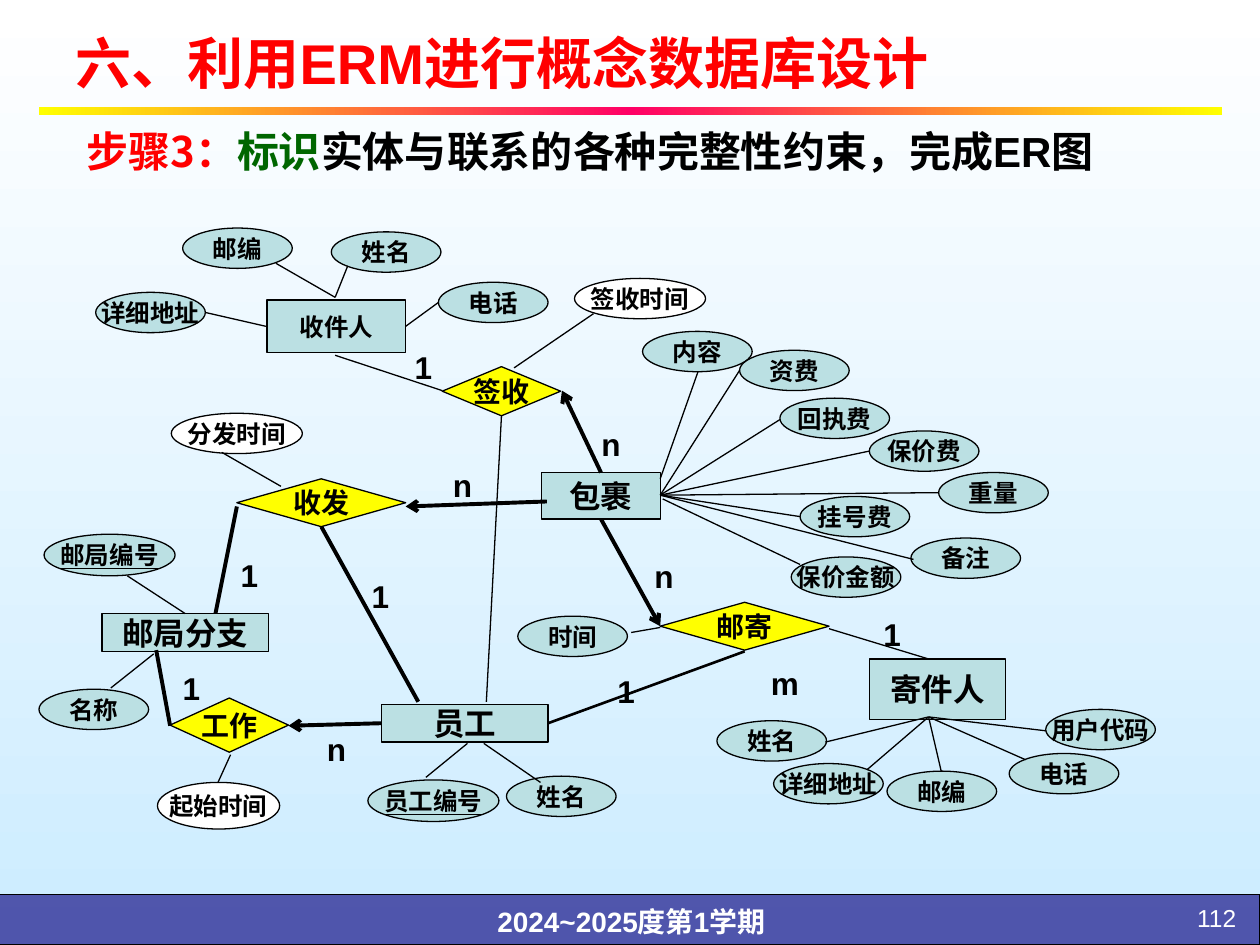
from copy import deepcopy

from lxml.etree import SubElement
from pptx import Presentation
from pptx.dml.color import RGBColor
from pptx.enum.shapes import MSO_CONNECTOR, MSO_SHAPE
from pptx.enum.text import MSO_ANCHOR, PP_ALIGN
from pptx.oxml.ns import qn
from pptx.util import Cm, Pt

COLORS = {
    "black": "000000", "white": "FFFFFF", "sky": "CCECFF", "teal": "BBE0E3",
    "yellow": "FFFF00", "red": "FF0000", "green": "006600", "pink": "FF0066",
    "navy": "333399",
}

ENTITIES = [
    ("收件人", 2.12, 2.38, 1.1, 0.42, 14),
    ("寄件人", 6.9, 5.23, 1.08, 0.48, 18),
    ("包裹", 4.3, 3.75, 0.94, 0.37, 18),
    ("邮局分支", 0.81, 4.87, 1.32, 0.3, 18),
    ("员工", 3.03, 5.59, 1.32, 0.3, 18),
]
ATTRIBUTES = [
    ("邮编", 1.45, 1.81), ("详细地址", 0.76, 2.32), ("姓名", 2.63, 1.84), ("电话", 3.48, 2.24),
    ("详细地址", 6.14, 6.06), ("姓名", 5.69, 5.72), ("电话", 8.01, 5.98),
    ("用户代码", 8.3, 5.63), ("邮编", 7.04, 6.12),
    ("内容", 5.1, 2.63), ("保价金额", 6.28, 4.42), ("备注", 7.23, 4.27), ("重量", 7.45, 3.75),
    ("挂号费", 6.35, 3.94), ("保价费", 6.9, 3.42), ("回执费", 6.19, 3.16), ("资费", 5.87, 2.78),
    ("名称", 0.31, 5.47), ("姓名", 4.02, 6.16), ("时间", 4.11, 4.89),
]
KEY_ATTRIBUTES = [("邮局编号", 0.35, 4.24), ("员工编号", 2.92, 6.19)]
RELATION_ATTRIBUTES = [
    ("签收时间", 4.56, 2.21, 1.04, 0.32),
    ("分发时间", 1.36, 3.28, 1.04, 0.32),
    ("起始时间", 1.25, 6.21, 0.97, 0.37),
]
RELATIONS = [
    ("签收", 3.51, 2.91, 0.94, 0.39),
    ("邮寄", 5.24, 4.78, 1.34, 0.38),
    ("工作", 1.35, 5.54, 0.94, 0.43),
    ("收发", 1.88, 3.8, 1.34, 0.38),
]
FANS = {
    (2.66, 2.36): [(2.19, 2.09), (2.76, 2.11)],
    (7.37, 5.69): [(6.55, 5.89), (6.88, 6.11), (7.47, 6.12), (8.14, 6.03), (8.3, 5.8)],
    (5.24, 3.93): [(7.25, 4.44), (7.45, 3.91), (6.35, 4.1), (6.9, 3.58), (6.19, 3.33), (5.87, 2.94)],
}
THIN_LINES = [
    ((1.63, 2.48), (2.11, 2.59)), ((3.22, 2.59), (3.48, 2.4)),
    ((5.24, 3.8), (5.54, 2.95)), ((5.26, 3.96), (6.35, 4.48)),
    ((2.66, 2.82), (3.51, 3.1)), ((6.58, 4.99), (7.37, 5.23)),
    ((4.08, 2.92), (4.71, 2.49)), ((1.01, 4.57), (1.47, 4.87)),
    ((1.22, 5.19), (0.88, 5.46)), ((3.84, 5.9), (4.29, 6.21)),
    ((3.71, 5.9), (3.38, 6.17)), ((3.98, 3.3), (3.86, 5.57)),
    ((1.83, 5.99), (1.73, 6.21)), ((5.01, 5.02), (5.24, 4.98)),
    ((1.76, 3.59), (2.23, 3.86)),
]
THICK_LINES = [
    ((1.24, 5.16), (1.35, 5.76)), ((1.88, 4.02), (1.71, 4.87)), ((2.55, 4.18), (3.32, 5.57)),
]
ARROWS = [
    ((4.77, 3.75), (4.46, 3.1)), ((4.77, 4.12), (5.24, 4.97)),
    ((3.03, 5.74), (2.29, 5.76)), ((4.34, 3.98), (3.22, 4.02)),
]
CARDINALITY_CENTERS = {
    "1": [(3.36, 2.86), (7.08, 4.98), (1.52, 5.41), (1.98, 4.51), (4.97, 5.43), (3.02, 4.68)],
    "n": [(4.85, 3.47), (5.27, 4.52), (2.67, 5.89), (3.67, 3.8)],
    "m": [(6.22, 5.37)],
}


def length(inches):
    """Turn a measure on the slide grid into a length."""
    return Cm(inches * 2.54)


def color(name):
    """Look up a named colour."""
    return RGBColor.from_string(COLORS[name])


def write(paragraph, text, size=14, name="black", bold=True, underline=None, font="Arial"):
    """Add formatted text to a paragraph."""
    run = paragraph.add_run()
    run.text = text
    run.font.size = Pt(size)
    run.font.name = font
    run.font.bold = bold
    run.font.underline = underline
    run.font.color.rgb = color(name)


def add_label(slide, box, text="", align=PP_ALIGN.LEFT, anchor=MSO_ANCHOR.TOP,
              wrap=True, spacing=None, **style):
    """Add a text box and return its paragraph."""
    frame = slide.shapes.add_textbox(*map(length, box)).text_frame
    frame.word_wrap = wrap
    frame.vertical_anchor = anchor
    paragraph = frame.paragraphs[0]
    paragraph.alignment = align
    paragraph.line_spacing = spacing
    if text:
        write(paragraph, text, **style)
    return paragraph


def add_node(slide, kind, box, fill, text="", **style):
    """Add an outlined shape with centred text."""
    shape = slide.shapes.add_shape(kind, *map(length, box))
    shape.shadow.inherit = False
    shape.fill.solid()
    shape.fill.fore_color.rgb = color(fill)
    shape.line.color.rgb = color("black")
    shape.line.width = Pt(0.75)
    if text:
        frame = shape.text_frame
        frame.word_wrap = False
        frame.vertical_anchor = MSO_ANCHOR.MIDDLE
        frame.paragraphs[0].alignment = PP_ALIGN.CENTER
        write(frame.paragraphs[0], text, **style)
    return shape


def add_line(slide, start, end, width=0.75, arrow=False):
    """Add a straight line, with an arrowhead at its end if asked."""
    line = slide.shapes.add_connector(MSO_CONNECTOR.STRAIGHT, *map(length, start + end))
    line.line.color.rgb = color("black")
    line.line.width = Pt(width)
    if arrow:
        SubElement(line.line._get_or_add_ln(), qn("a:tailEnd"), type="arrow")
    SubElement(line._element.spPr, qn("a:effectLst"))


def set_gradient(fill, names, angle):
    """Fill with evenly spaced gradient stops."""
    fill.gradient()
    fill.gradient_angle = angle
    stop_list = fill.gradient_stops[0]._gs.getparent()
    for _ in names[2:]:
        stop_list.append(deepcopy(stop_list[-1]))
    for index, (stop, name) in enumerate(zip(fill.gradient_stops, names)):
        stop.color.rgb = color(name)
        stop.position = index / (len(names) - 1)


def add_frame(slide):
    """Add the background, footer, title and step heading."""
    set_gradient(slide.background.fill, ["white", "sky"], 270)
    footer = add_node(slide, MSO_SHAPE.RECTANGLE, (-0.01, 7.1, 10.01, 0.4), "navy")
    footer_color = footer._element.spPr.find(qn("a:solidFill"))[0]
    SubElement(footer_color, qn("a:alpha"), val="81000")
    add_label(slide, (2.69, 7.08, 4.64, 0.42), "2024~2025度第1学期",
              align=PP_ALIGN.CENTER, spacing=1.2, size=16, name="white")
    add_label(slide, (8.94, 7.12, 0.97, 0.3), "112",
              align=PP_ALIGN.RIGHT, name="white", bold=False)
    rule = add_node(slide, MSO_SHAPE.RECTANGLE, (0.31, 0.85, 9.39, 0.06), "yellow")
    rule.line.fill.background()
    set_gradient(rule.fill, ["yellow", "pink", "yellow"], 0)
    add_label(slide, (0.5, 0.11, 9, 0.76), "六、利用ERM进行概念数据库设计",
              anchor=MSO_ANCHOR.MIDDLE, size=32, name="red")
    heading = add_label(slide, (0.51, 0.95, 8.68, 0.54))
    write(heading, " 步骤3：", size=24, name="red", font="Noto Sans CJK SC")
    write(heading, "标识", size=24, name="green", font="Noto Sans CJK SC")
    write(heading, "实体与联系的各种完整性约束，完成ER图", size=24)


def add_nodes(slide):
    """Add entities, attributes and relations."""
    for text, *box, size in ENTITIES:
        add_node(slide, MSO_SHAPE.RECTANGLE, box, "teal", text, size=size)
    for text, left, top in ATTRIBUTES:
        add_node(slide, MSO_SHAPE.OVAL, (left, top, 0.87, 0.32), "teal", text)
    for text, left, top in KEY_ATTRIBUTES:
        add_node(slide, MSO_SHAPE.OVAL, (left, top, 1.04, 0.33), "teal", text, underline=True)
    for text, *box in RELATION_ATTRIBUTES:
        add_node(slide, MSO_SHAPE.OVAL, box, "white", text)
    for text, *box in RELATIONS:
        add_node(slide, MSO_SHAPE.DIAMOND, box, "yellow", text, size=16)


def add_links(slide):
    """Add the lines, arrows and cardinalities."""
    for hub, ends in FANS.items():
        for end in ends:
            add_line(slide, hub, end)
    for start, end in THIN_LINES:
        add_line(slide, start, end)
    for start, end in THICK_LINES:
        add_line(slide, start, end, width=2.25)
    for start, end in ARROWS:
        add_line(slide, start, end, width=2.25, arrow=True)
    add_line(slide, (5.91, 5.17), (4.35, 5.74), width=1.5)
    for text, centers in CARDINALITY_CENTERS.items():
        for x, y in centers:
            add_label(slide, (x - 0.2, y - 0.25, 0.4, 0.5), text, align=PP_ALIGN.CENTER,
                      anchor=MSO_ANCHOR.MIDDLE, wrap=False, spacing=1.35, size=18)


def main():
    """Build and save the slide."""
    presentation = Presentation()
    presentation.slide_width = Cm(25.4)
    presentation.slide_height = Cm(19.05)
    slide = presentation.slides.add_slide(presentation.slide_layouts[6])
    add_frame(slide)
    add_nodes(slide)
    add_links(slide)
    presentation.save("out.pptx")


if __name__ == "__main__":
    main()
